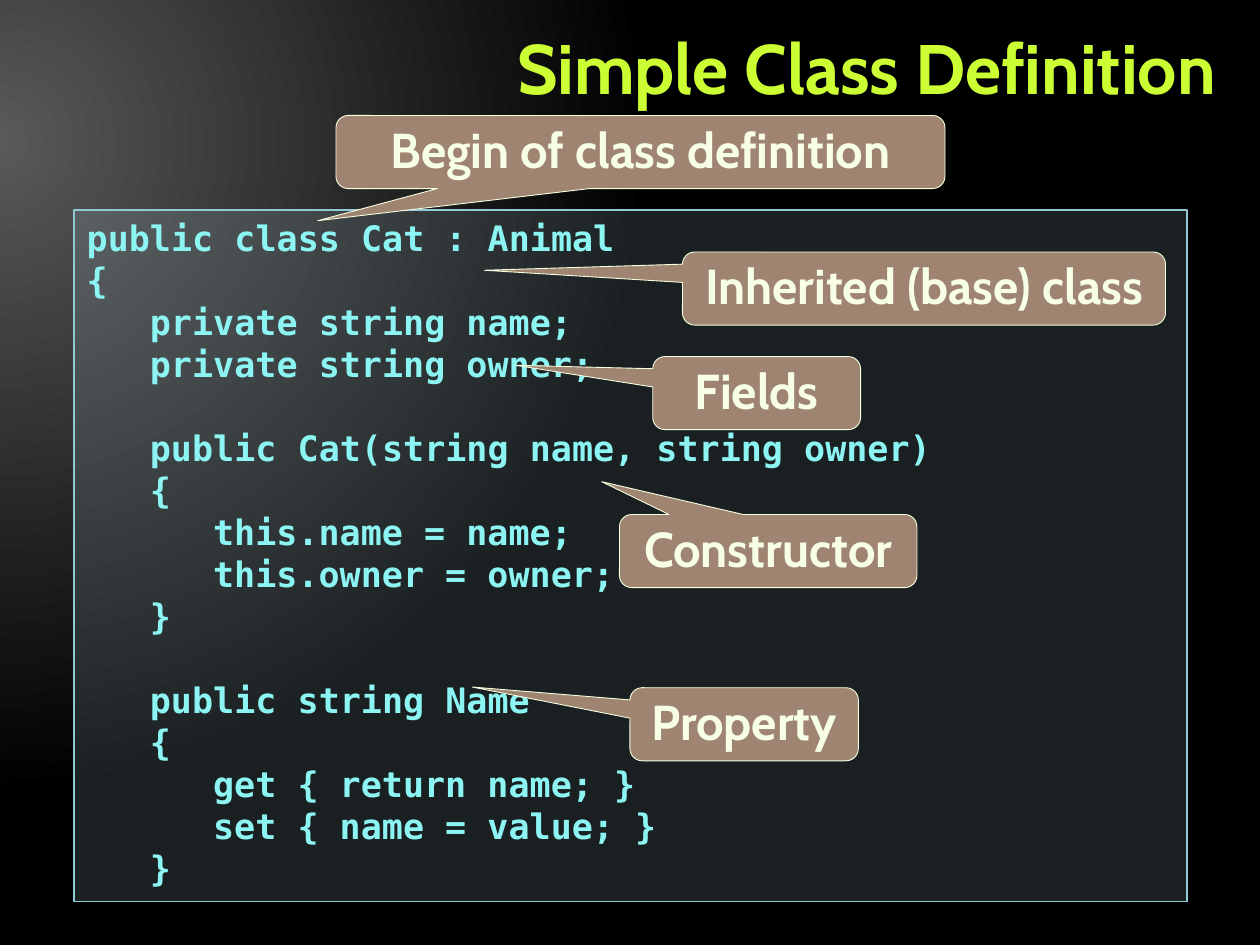
"""Build the slide that explains a simple class definition."""
from pptx import Presentation
from pptx.dml.color import RGBColor
from pptx.enum.shapes import MSO_SHAPE
from pptx.enum.text import MSO_ANCHOR, PP_ALIGN
from pptx.oxml import parse_xml
from pptx.oxml.ns import nsdecls
from pptx.util import Pt

GLOW = RGBColor(0x59, 0x59, 0x59)
BLACK = RGBColor(0x00, 0x00, 0x00)
LIME = RGBColor(0xCC, 0xFF, 0x33)
PANEL_BLUE = RGBColor(0xB5, 0xDB, 0xE5)
PANEL_EDGE = RGBColor(0x90, 0xCA, 0xD7)
CODE_CYAN = RGBColor(0x8C, 0xF4, 0xF2)
BROWN = RGBColor(0x9F, 0x84, 0x71)
CALLOUT_EDGE = RGBColor(0xF5, 0xFF, 0xE0)
IVORY = RGBColor(0xF7, 0xFF, 0xE7)

HEADING_FONT = "Cabin"
CODE_FONT = "DejaVu Sans Mono"
CODE_LINE = Pt(24)
CODE_INDENT_STEP = Pt(12.04)
CALLOUT_HEIGHT = Pt(41.75)

CODE = """\
public class Cat : Animal
{
   private string name;
   private string owner;

   public Cat(string name, string owner)
   {
      this.name = name;
      this.owner = owner;
   }

   public string Name
   {
      get { return name; }
      set { name = value; }
   }"""

CALLOUTS = [
    ("Fields", 373, 203.75, 118.75, -1.16, -0.38),
    ("Constructor", 354, 294, 170, -0.56, -0.95),
    ("Property", 360, 393, 130.5, -1.19, -0.51),
    ("Begin of class definition", 192, 66, 348, -0.53, 0.94),
    ("Inherited (base) class", 390, 144, 276, -0.91, -0.25),
]


def format_paragraph(paragraph, font_name, size, color, align, line_spacing):
    """Apply bold type, alignment and line spacing to a paragraph."""
    paragraph.alignment = align
    paragraph.line_spacing = line_spacing
    for run in paragraph.runs:
        run.font.name = font_name
        run.font.size = size
        run.font.bold = True
        run.font.color.rgb = color


def paint_background(slide):
    """Fill the background with a glow from the upper left."""
    fill = slide.background.fill
    fill.gradient()
    for stop, color, position in zip(fill.gradient_stops, (GLOW, BLACK), (0, 0.83)):
        stop.color.rgb = color
        stop.position = position
    direction = slide.element.xpath("./p:cSld/p:bg//a:lin")[0]
    direction.getparent().replace(direction, parse_xml(
        f'<a:path {nsdecls("a")} path="circle">'
        '<a:fillToRect l="20000" t="30000" r="135000" b="100000"/></a:path>'))


def add_title(slide, text):
    """Place and format the slide title."""
    title = slide.shapes.title
    title.left, title.top, title.width, title.height = Pt(144), Pt(6), Pt(558), Pt(72)
    title.text_frame.text = text
    title.text_frame.vertical_anchor = MSO_ANCHOR.MIDDLE
    format_paragraph(title.text_frame.paragraphs[0], HEADING_FONT, Pt(40), LIME,
                     PP_ALIGN.RIGHT, Pt(40))


def add_filled_shape(slide, preset, bounds, fill_color, edge_color, edge_width):
    """Add a flat shape with a solid fill and a thin edge."""
    shape = slide.shapes.add_shape(preset, *bounds)
    shape.shadow.inherit = False
    shape.fill.solid()
    shape.fill.fore_color.rgb = fill_color
    shape.line.color.rgb = edge_color
    shape.line.width = edge_width
    shape.text_frame.word_wrap = True
    return shape


def add_code_panel(slide, code):
    """Add the translucent panel with one paragraph per code line."""
    panel = add_filled_shape(slide, MSO_SHAPE.RECTANGLE,
                             (Pt(42.5), Pt(120), Pt(635.75), Pt(395.25)),
                             PANEL_BLUE, PANEL_EDGE, Pt(1))
    tint = panel.element.xpath("./p:spPr/a:solidFill/a:srgbClr")[0]
    tint.append(parse_xml(f'<a:alpha {nsdecls("a")} val="15000"/>'))
    frame = panel.text_frame
    frame.vertical_anchor = MSO_ANCHOR.TOP
    code_lines = code.splitlines()
    statements = [line.lstrip() for line in code_lines if line]
    frame.text = "\n".join(statements)
    paragraphs = iter(frame.paragraphs)
    after_gap = False
    for line in code_lines:
        if line:
            paragraph = next(paragraphs)
            format_paragraph(paragraph, CODE_FONT, Pt(20), CODE_CYAN,
                             PP_ALIGN.LEFT, CODE_LINE)
            paragraph.space_before = CODE_LINE if after_gap else Pt(0)
            indent = (len(line) - len(line.lstrip())) * CODE_INDENT_STEP
            paragraph._p.get_or_add_pPr().set("marL", str(indent))
        after_gap = not line


def add_callout(slide, label, left, top, width, tip_x, tip_y):
    """Add a rounded callout whose tip points at the code."""
    callout = add_filled_shape(slide, MSO_SHAPE.ROUNDED_RECTANGULAR_CALLOUT,
                               (Pt(left), Pt(top), Pt(width), CALLOUT_HEIGHT),
                               BROWN, CALLOUT_EDGE, Pt(0.5))
    callout.adjustments[0] = tip_x
    callout.adjustments[1] = tip_y
    callout.text_frame.text = label
    callout.text_frame.vertical_anchor = MSO_ANCHOR.MIDDLE
    format_paragraph(callout.text_frame.paragraphs[0], HEADING_FONT, Pt(28), IVORY,
                     PP_ALIGN.CENTER, Pt(30))


def main():
    """Create the presentation and save it."""
    presentation = Presentation()
    presentation.slide_width, presentation.slide_height = Pt(720), Pt(540)
    slide = presentation.slides.add_slide(presentation.slide_layouts[5])
    paint_background(slide)
    add_title(slide, "Simple Class Definition")
    add_code_panel(slide, CODE)
    for callout in CALLOUTS:
        add_callout(slide, *callout)
    presentation.save("out.pptx")


if __name__ == "__main__":
    main()
